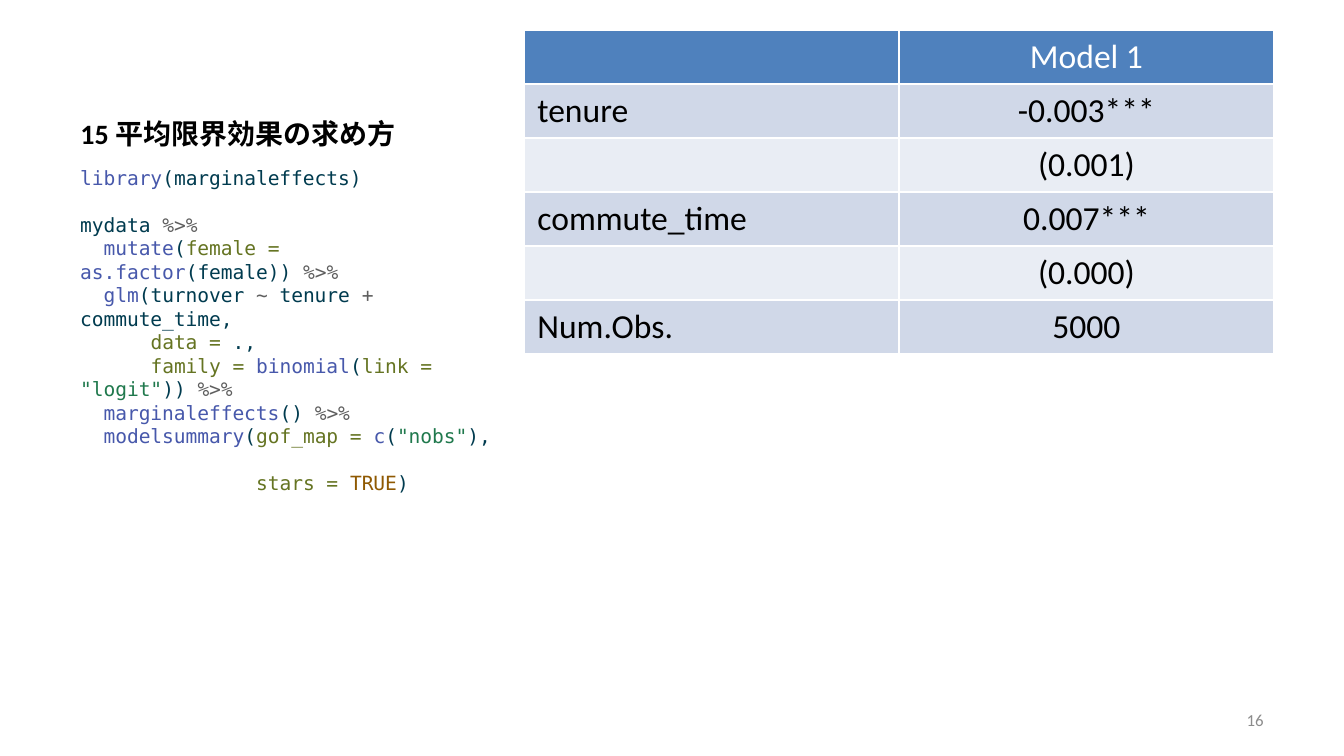
"""Build the slide on average marginal effects: R code beside its regression table."""

from typing import NamedTuple

from pptx import Presentation
from pptx.dml.color import RGBColor
from pptx.enum.text import MSO_ANCHOR, MSO_AUTO_SIZE, PP_ALIGN
from pptx.slide import Slide
from pptx.text.text import _Paragraph as Paragraph
from pptx.util import Emu, Pt

EMU_PER_PX = 914400 / 134.4

BLACK = RGBColor(0x00, 0x00, 0x00)
WHITE = RGBColor(0xFF, 0xFF, 0xFF)
GRAY = RGBColor(0x8C, 0x8C, 0x8C)
HEADER = RGBColor(0x4F, 0x81, 0xBD)
BANDS = (RGBColor(0xE9, 0xED, 0xF4), RGBColor(0xD0, 0xD8, 0xE8))
FUNCTION = RGBColor(0x47, 0x58, 0xAB)
PLAIN = RGBColor(0x00, 0x3B, 0x4F)
OPERATOR = RGBColor(0x5E, 0x5E, 0x5E)
ARGUMENT = RGBColor(0x65, 0x74, 0x22)
STRING = RGBColor(0x20, 0x79, 0x4D)
CONSTANT = RGBColor(0x8F, 0x59, 0x02)

TEXT_FONT = "Calibri"
CODE_FONT = "DejaVu Sans Mono"


class Area(NamedTuple):
    """A rectangle in px."""

    left: int
    top: int
    width: int
    height: int


class Token(NamedTuple):
    """A piece of code and its syntax colour."""

    text: str
    color: RGBColor


TITLE_AREA = Area(67, 30, 442, 127)
CODE_AREA = Area(67, 159, 442, 517)
TABLE_AREA = Area(524, 30, 750, 324)
NUMBER_AREA = Area(964, 700, 313, 40)

PIPE = Token("%>% \n  ", OPERATOR)
CODE = (
    Token("library", FUNCTION),
    Token("(marginaleffects)\n\nmydata ", PLAIN),
    PIPE,
    Token("mutate", FUNCTION),
    Token("(", PLAIN),
    Token("female = ", ARGUMENT),
    Token("as.factor", FUNCTION),
    Token("(female)) ", PLAIN),
    PIPE,
    Token("glm", FUNCTION),
    Token("(turnover ", PLAIN),
    Token("~", OPERATOR),
    Token(" tenure ", PLAIN),
    Token("+", OPERATOR),
    Token(" commute_time, \n      ", PLAIN),
    Token("data =", ARGUMENT),
    Token(" .,\n      ", PLAIN),
    Token("family = ", ARGUMENT),
    Token("binomial", FUNCTION),
    Token("(", PLAIN),
    Token("link = ", ARGUMENT),
    Token('"logit"', STRING),
    Token(")) ", PLAIN),
    PIPE,
    Token("marginaleffects", FUNCTION),
    Token("() ", PLAIN),
    PIPE,
    Token("modelsummary", FUNCTION),
    Token("(", PLAIN),
    Token("gof_map = ", ARGUMENT),
    Token("c", FUNCTION),
    Token("(", PLAIN),
    Token('"nobs"', STRING),
    Token("), \n               ", PLAIN),
    Token("stars = ", ARGUMENT),
    Token("TRUE", CONSTANT),
    Token(")", PLAIN),
)

RESULTS = (
    ("", "Model 1"),
    ("tenure", "-0.003***"),
    ("", "(0.001)"),
    ("commute_time", "0.007***"),
    ("", "(0.000)"),
    ("Num.Obs.", "5000"),
)


def px(length: int) -> Emu:
    """Turn px into EMU."""
    return Emu(round(length * EMU_PER_PX))


def emu(area: Area) -> tuple[Emu, ...]:
    """Turn an area into EMU lengths."""
    return tuple(px(length) for length in area)


def style(paragraph: Paragraph, size: float, color: RGBColor,
          align: PP_ALIGN = PP_ALIGN.LEFT, bold: bool = False) -> None:
    """Set the text font and alignment of a paragraph."""
    paragraph.alignment = align
    font = paragraph.font
    font.name, font.size, font.bold = TEXT_FONT, Pt(size), bold
    font.color.rgb = color


def draw_title(slide: Slide, text: str) -> None:
    """Place and fill the title placeholder."""
    title = slide.shapes.title
    title.left, title.top, title.width, title.height = emu(TITLE_AREA)
    frame = title.text_frame
    frame.text = text
    frame.auto_size = MSO_AUTO_SIZE.NONE
    frame.vertical_anchor = MSO_ANCHOR.BOTTOM
    style(frame.paragraphs[0], 15, BLACK, bold=True)


def draw_code(slide: Slide, tokens: tuple[Token, ...]) -> None:
    """Write the highlighted code in one wrapped paragraph."""
    frame = slide.shapes.add_textbox(*emu(CODE_AREA)).text_frame
    frame.word_wrap = True
    paragraph = frame.paragraphs[0]
    paragraph.font.name, paragraph.font.size = CODE_FONT, Pt(10.5)
    for token in tokens:
        for index, line in enumerate(token.text.split("\n")):
            if index:
                paragraph.add_line_break()
            if line:
                span = paragraph.add_run()
                span.text = line
                span.font.color.rgb = token.color


def draw_table(slide: Slide, rows: tuple[tuple[str, str], ...]) -> None:
    """Draw the regression table with a header and banded rows."""
    table = slide.shapes.add_table(len(rows), len(rows[0]), *emu(TABLE_AREA)).table
    for row_index, row in enumerate(rows):
        for column_index, text in enumerate(row):
            cell = table.cell(row_index, column_index)
            cell.text = text
            cell.fill.solid()
            cell.fill.fore_color.rgb = BANDS[row_index % 2] if row_index else HEADER
            align = PP_ALIGN.CENTER if column_index else PP_ALIGN.LEFT
            style(cell.text_frame.paragraphs[0], 18, BLACK if row_index else WHITE, align)


def draw_number(slide: Slide, text: str) -> None:
    """Write the page number at the bottom right."""
    frame = slide.shapes.add_textbox(*emu(NUMBER_AREA)).text_frame
    frame.text = text
    frame.word_wrap = True
    frame.vertical_anchor = MSO_ANCHOR.MIDDLE
    style(frame.paragraphs[0], 9, GRAY, PP_ALIGN.RIGHT)


def main() -> None:
    """Build and save the deck."""
    deck = Presentation()
    deck.slide_width, deck.slide_height = px(1344), px(756)
    page = deck.slides.add_slide(deck.slide_layouts[5])
    draw_title(page, "15 平均限界効果の求め方")
    draw_code(page, CODE)
    draw_table(page, RESULTS)
    draw_number(page, "16")
    deck.save("out.pptx")


if __name__ == "__main__":
    main()
